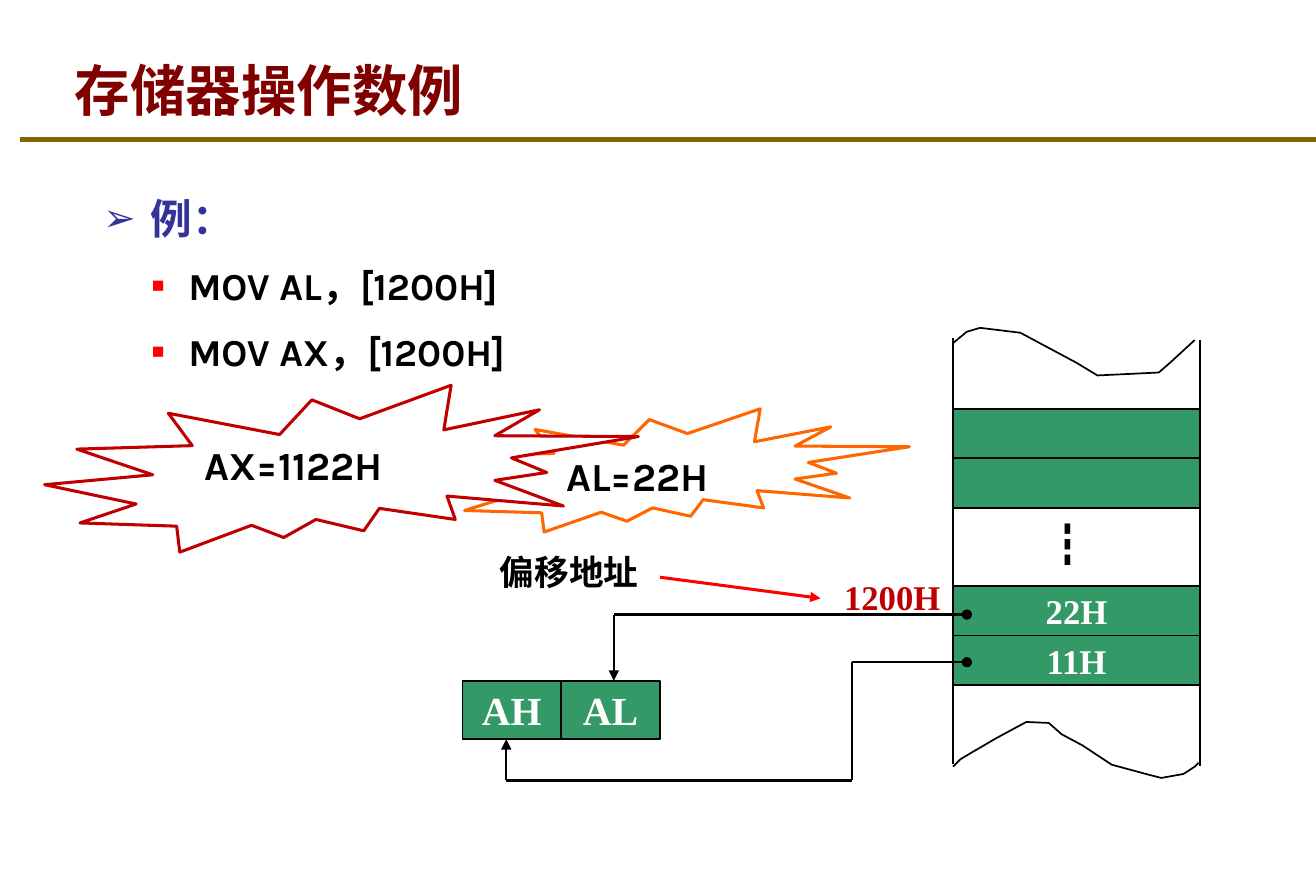
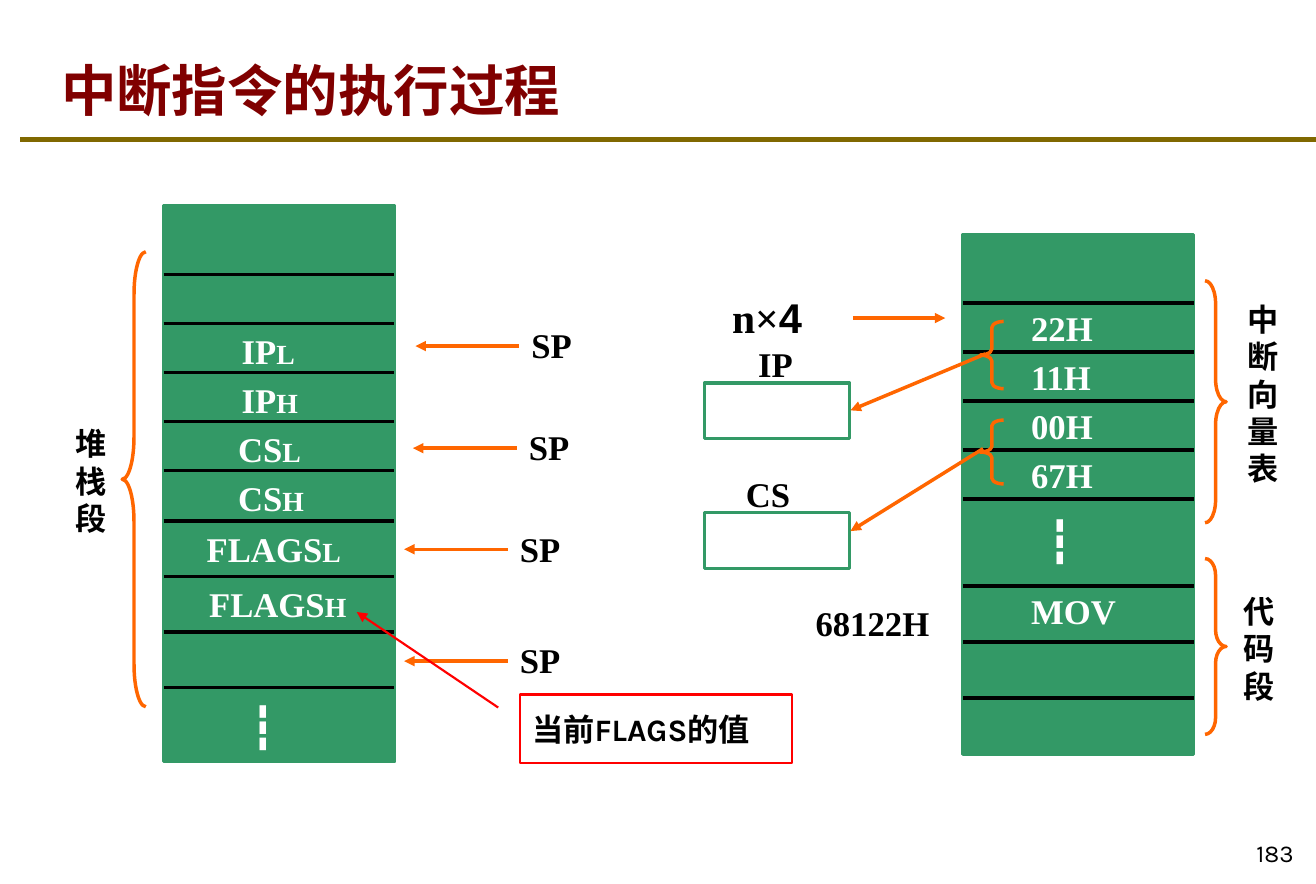
from lxml import etree
from pptx import Presentation
from pptx.dml.color import RGBColor
from pptx.enum.shapes import MSO_CONNECTOR, MSO_SHAPE as Kind
from pptx.enum.text import MSO_ANCHOR as Anchor, MSO_AUTO_SIZE as Fit, PP_ALIGN as Align
from pptx.oxml.ns import qn
from pptx.util import Cm, Pt

HEX = RGBColor.from_string
LINE = MSO_CONNECTOR.STRAIGHT
SANS, ROMAN, KARLA = "Noto Sans CJK SC", "Times New Roman", "Karla"
BLACK, WHITE, RED, GREEN = "000000", "FFFFFF", "FF0000", "339966"
ORANGE, WINE = "FF6600", "C00000"


def text(frame, words, font=ROMAN, size=20, color=BLACK, bold=True,
         align=Align.LEFT, anchor=Anchor.TOP):
    frame.word_wrap = True
    frame.auto_size = Fit.NONE
    frame.vertical_anchor = anchor
    para = frame.paragraphs[-1]
    para.alignment = align
    run = para.add_run()
    run.text = words
    run.font.name = font
    run.font.size = Pt(size)
    run.font.bold = bold
    run.font.color.rgb = HEX(color)
    latin = run.font._element.find(qn("a:latin"))
    east = etree.Element(qn("a:ea"), typeface=SANS)
    latin.addnext(east)


def pen(shape, color, width, tail=None, fill=None):
    shape.line.color.rgb = HEX(color)
    shape.line.width = Pt(width)
    props = shape.element.spPr
    if tail:
        etree.SubElement(props.find(qn("a:ln")), qn("a:tailEnd"), type=tail)
    etree.SubElement(props, qn("a:effectLst"))
    if fill:
        shape.fill.solid()
        shape.fill.fore_color.rgb = HEX(fill)
    elif hasattr(shape, "fill"):
        shape.fill.background()


deck = Presentation()
deck.slide_width, deck.slide_height = Cm(26.8), Cm(18.01)
first = deck.slides.add_slide(deck.slide_layouts[1])
second = deck.slides.add_slide(deck.slide_layouts[5])

for slide, words, left in ((first, "存储器操作数例", 1.27), (second, "中断指令的执行过程", 0.99)):
    title = slide.shapes.title
    title.left, title.top, title.width, title.height = map(Cm, (left, 0.41, 22.8, 2.21))
    text(title.text_frame, words, font=SANS, size=32, color="800000", anchor=Anchor.BOTTOM)

rule = first.shapes.add_connector(LINE, *map(Cm, (0.41, 2.84, 26.8, 2.84)))
pen(rule, "806800", 3)
deck.slide_master.shapes.element.append(rule.element)

shapes = first.shapes
body = first.placeholders[1]
body.left, body.top, body.width, body.height = map(Cm, (1.85, 3.61, 16, 4.95))
frame = body.text_frame
items = (
    (0, "例：", SANS, 24, "333399", "➢", "333399", 93, 0.97, 0.97),
    (1, "MOV AL，[1200H]", KARLA, 22, BLACK, "■", RED, 55, 1.73, 0.74),
    (1, "MOV AX，[1200H]", KARLA, 22, BLACK, "■", RED, 55, 1.73, 0.74),
)
for row, (level, words, font, size, color, mark, tint, scale, left, hang) in enumerate(items):
    para = frame.add_paragraph() if row else frame.paragraphs[0]
    para.level = level
    para.line_spacing = 1.2
    para.space_before, para.space_after = Pt(0), Pt(6)
    props = para._p.get_or_add_pPr()
    props.set("marL", str(Cm(left)))
    props.set("indent", str(-Cm(hang)))
    shade = etree.SubElement(props, qn("a:buClr"))
    etree.SubElement(shade, qn("a:srgbClr"), val=tint)
    etree.SubElement(props, qn("a:buSzPct"), val=str(scale * 1000))
    etree.SubElement(props, qn("a:buChar"), char=mark)
    text(frame, words, font=font, size=size, color=color)

cells = (
    (19.41, 8.33, 5.03, 1.01, "", 20),
    (19.41, 9.34, 5.03, 1.01, "", 20),
    (19.41, 11.94, 5.03, 1.01, "22H", 20),
    (19.41, 12.95, 5.03, 1.01, "11H", 20),
    (9.42, 13.87, 2.01, 1.19, "AH", 23),
    (11.43, 13.87, 2.01, 1.19, "AL", 23),
)
for *place, words, size in cells:
    cell = shapes.add_shape(Kind.RECTANGLE, *map(Cm, place))
    pen(cell, BLACK, 1, fill=GREEN)
    if words:
        text(cell.text_frame, words, size=size, color=WHITE, align=Align.CENTER, anchor=Anchor.MIDDLE)

edges = (
    ((1941, 699), (1969, 676), (1996, 668), (2078, 678), (2192, 739), (2235, 765),
     (2360, 759), (2383, 739), (2433, 693)),
    ((1941, 1562), (1956, 1547), (1981, 1532), (2029, 1504), (2090, 1471), (2136, 1473),
     (2162, 1496), (2205, 1519), (2264, 1558), (2334, 1577), (2365, 1585), (2410, 1577),
     (2421, 1570), (2433, 1562), (2441, 1554)),
)
for start, *rest in edges:
    edge = shapes.build_freeform(*start, scale=Cm(0.01))
    edge.add_line_segments(rest, close=False)
    pen(edge.convert_to_shape(), BLACK, 1)

notes = (
    (16.94, 11.61, 3.07, 1.14, "1200H", dict(color=WINE)),
    (9.93, 11.1, 4.65, 1.14, "偏移地址", dict(font=SANS)),
    (21.03, 10.39, 1.78, 1.45, "┇", dict(font=SANS, size=27, bold=False)),
)
for *place, words, look in notes:
    text(shapes.add_textbox(*map(Cm, place)).text_frame, words, **look)

wires = (
    (19.41, 6.88, 19.41, 15.57, BLACK, 1, None),
    (24.44, 6.93, 24.44, 15.6, BLACK, 1, None),
    (13.44, 11.76, 16.71, 12.19, RED, 1.75, "triangle"),
    (17.35, 15.9, 10.31, 15.9, BLACK, 1.5, None),
    (10.31, 15.9, 10.31, 15.06, BLACK, 1, "triangle"),
    (12.5, 12.52, 19.69, 12.52, BLACK, 1.5, "oval"),
    (17.35, 13.49, 19.69, 13.49, BLACK, 1.5, "oval"),
    (17.35, 13.49, 17.35, 15.9, BLACK, 1.5, None),
    (12.5, 12.52, 12.5, 13.87, BLACK, 1.5, "triangle"),
)
for *ends, color, width, tail in wires:
    pen(shapes.add_connector(LINE, *map(Cm, ends)), color, width, tail)

bursts = (
    (8.89, 8.33, 9.63, 2.51, "AL=22H", ORANGE),
    (0.91, 7.85, 12.09, 3.4, "AX=1122H", WINE),
)
for *place, words, color in bursts:
    burst = shapes.add_shape(Kind.EXPLOSION2, *map(Cm, place))
    pen(burst, color, 1.75, fill=WHITE)
    text(burst.text_frame, words, font=KARLA, size=23)

shapes = second.shapes
stack = [5.59 + i for i in range(5)] + [10.62 + 1.13 * i for i in range(4)]
table = [6.17 + i for i in range(5)] + [11.94 + 1.14 * i for i in range(3)]
for left, top, high, rows in ((3.33, 4.19, 11.33, stack), (19.61, 4.78, 10.59, table)):
    block = shapes.add_shape(Kind.RECTANGLE, *map(Cm, (left, top, 4.7, high)))
    pen(block, GREEN, 2, fill=GREEN)
    for y in rows:
        pen(shapes.add_connector(LINE, *map(Cm, (left, y, left + 4.7, y))), BLACK, 2)

names = (("IP", "L", 4.67), ("IP", "H", 4.67), ("CS", "L", 4.6),
         ("CS", "H", 4.6), ("FLAGS", "L", 3.96), ("FLAGS", "H", 4.01))
for y, (name, half, left) in zip(stack[1:], names):
    frame = shapes.add_textbox(*map(Cm, (left, y, 3.56, 1.12))).text_frame
    text(frame, name, color=WHITE)
    text(frame, half, size=16, color=WHITE)

for y, words in zip(table[:4] + table[5:], ("22H", "11H", "00H", "67H", "MOV")):
    frame = shapes.add_textbox(*map(Cm, (20.75, y - 0.04, 3.12, 1.12))).text_frame
    text(frame, words, color=WHITE)

tall = dict(font=SANS, size=18, align=Align.CENTER)
dots = dict(size=24, color=WHITE)
notes = (
    (15.19, 6.86, 1.47, 1.12, "IP", {}),
    (14.94, 9.5, 1.7, 1.12, "CS", {}),
    (16.36, 12.14, 3.3, 1.12, "68122H", {}),
    (24.97, 11.94, 1.35, 2.57, "代码段", tall),
    (25.04, 5.99, 1.35, 4.11, "中断向量表", tall),
    (1.19, 8.53, 1.35, 2.57, "堆栈段", tall),
    (21.08, 10.36, 1.57, 1.27, "┇", dots),
    (4.85, 14.15, 1.57, 1.27, "┇", dots),
    (24.97, 16.61, 1.63, 1.19, "183",
     dict(font=KARLA, size=14, bold=False, align=Align.RIGHT, anchor=Anchor.BOTTOM)),
)
for *place, words, look in notes:
    text(shapes.add_textbox(*map(Cm, place)).text_frame, words, **look)

frame = shapes.add_textbox(*map(Cm, (14.66, 5.82, 3.33, 1.3))).text_frame
text(frame, "n×", size=24)
text(frame, "4", font="Arial", size=24)

for y in (7.8, 10.44):
    pen(shapes.add_shape(Kind.RECTANGLE, *map(Cm, (14.35, y, 2.95, 1.14))), GREEN, 2)

braces = (
    (19.96, 6.55, 0.48, 1.37, 0.26, 0),
    (19.96, 8.56, 0.48, 1.3, 0.24, 0),
    (24.54, 11.38, 0.43, 3.58, 0.79, 180),
    (24.54, 5.72, 0.43, 4.93, 1.08, 180),
    (2.49, 5.13, 0.48, 9.27, 1.8, 0),
)
for *place, bend, turn in braces:
    brace = shapes.add_shape(Kind.LEFT_BRACE, *map(Cm, place))
    brace.adjustments[0] = bend
    brace.rotation = turn
    pen(brace, ORANGE, 2)

arrows = [
    (17.37, 6.48, 19.25, 6.48),
    (20.07, 7.21, 17.32, 8.36),
    (20.02, 9.14, 17.32, 10.82),
]
for x, y in ((10.57, 6.48), (10.52, 8.56), (10.34, 10.62), (10.34, 12.9)):
    text(shapes.add_textbox(*map(Cm, (x, y, 1.7, 1.12))).text_frame, "SP")
    arrows.append((x, y + 0.57, x - 2.11, y + 0.57))
for ends in arrows:
    pen(shapes.add_connector(LINE, *map(Cm, ends)), ORANGE, 2, "triangle")

call = shapes.add_shape(Kind.LINE_CALLOUT_1, *map(Cm, (10.59, 14.15, 5.54, 1.4)))
for i, part in enumerate((0.19, -0.08, -1.2, -0.6)):
    call.adjustments[i] = part
pen(call, RED, 1.25, "triangle")
for words, font in (("当前", SANS), ("FLAGS", KARLA), ("的值", SANS)):
    text(call.text_frame, words, font=font, size=18, anchor=Anchor.MIDDLE)

deck.save("out.pptx")
